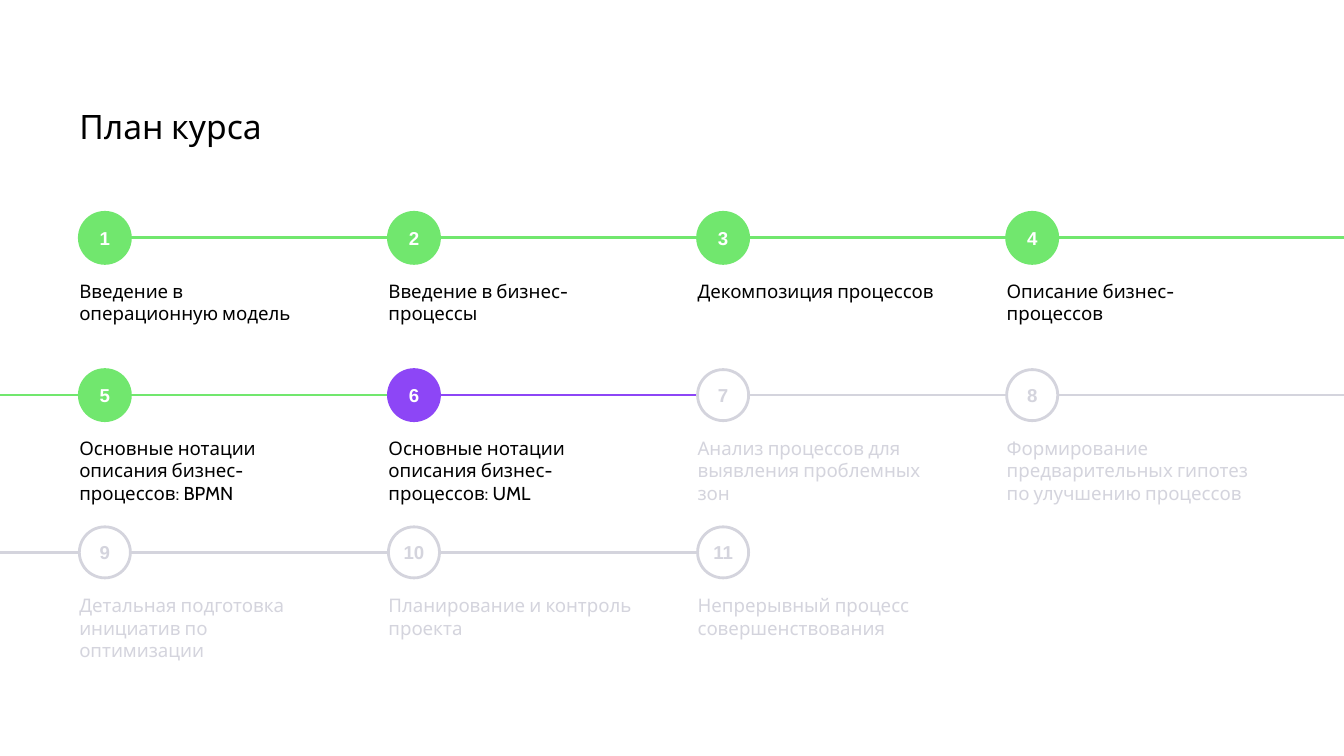
"""Build the course plan slide."""
from pptx import Presentation
from pptx import util as u
from pptx.dml.color import RGBColor
from pptx.enum import shapes, text
from pptx.oxml import ns
from lxml import etree

HUES = {"done": "71E76E", "now": "8D46F6", "next": "D4D4DD",
        "ink": "000000", "white": "FFFFFF"}
TITLE = "План курса"
STEPS = [
    ("Введение в операционную модель", "done"),
    ("Введение в бизнес-процессы", "done"),
    ("Декомпозиция процессов", "done"),
    ("Описание бизнес-процессов", "done"),
    ("Основные нотации описания бизнес-процессов: BPMN", "done"),
    ("Основные нотации описания бизнес-процессов: UML", "now"),
    ("Анализ процессов для выявления проблемных зон", "next"),
    ("Формирование предварительных гипотез по улучшению процессов", "next"),
    ("Детальная подготовка инициатив по оптимизации", "next"),
    ("Планирование и контроль проекта", "next"),
    ("Непрерывный процесс совершенствования", "next"),
]
COLS, WIDE = 4, 10
HIGH = WIDE * 9 / 16
LEFT, TOP, STEP, ROW, SIZE, DROP = 0.59, 1.58, 2.3, 1.17, 0.38, 0.4


def hue(name):
    return RGBColor.from_string(HUES[name])


def inch(*nums):
    return [u.Inches(n) for n in nums]


def write(frame, words, font, size, ink, align, pad=0, bold=False):
    frame.word_wrap = True
    frame.auto_size = text.MSO_AUTO_SIZE.NONE
    frame.margin_left = 0
    frame.margin_top = frame.margin_right = frame.margin_bottom = u.Inches(pad)
    para = frame.paragraphs[0]
    para.text = words
    para.alignment = align
    para.font.name, para.font.size, para.font.bold = font, u.Pt(size), bold
    para.font.color.rgb = hue(ink)


def link(slide, start, end, y, state):
    line = slide.shapes.add_connector(
        shapes.MSO_CONNECTOR.STRAIGHT, *inch(start, y, end, y))
    line.line.color.rgb = hue(state)
    line.line.width = u.Pt(1.5)
    etree.SubElement(line._element.spPr, ns.qn("a:effectLst"))


def badge(slide, x, y, num, state):
    dot = slide.shapes.add_shape(
        shapes.MSO_SHAPE.OVAL, *inch(x, y, SIZE, SIZE))
    dot.shadow.inherit = False
    ahead = state == "next"
    dot.fill.solid()
    dot.fill.fore_color.rgb = hue("white" if ahead else state)
    dot.line.color.rgb = hue(state)
    dot.line.width = u.Pt(1.5)
    write(dot.text_frame, str(num), "Arial", 10, "next" if ahead else "white",
          text.PP_ALIGN.CENTER, bold=True)
    dot.text_frame.vertical_anchor = text.MSO_ANCHOR.MIDDLE


def label(slide, x, y, words, state):
    box = slide.shapes.add_textbox(*inch(x, y, 1.91, 0.37))
    write(box.text_frame, words, "Cabin", 10,
          "next" if state == "next" else "ink", text.PP_ALIGN.LEFT, 0.1)


def main():
    deck = Presentation()
    deck.slide_width, deck.slide_height = inch(WIDE, HIGH)
    slide = deck.slides.add_slide(deck.slide_layouts[5])
    head = slide.shapes.title
    head.left, head.top, head.width, head.height = inch(LEFT, 0.79, 8.82, 0.35)
    write(head.text_frame, TITLE, "Cabin", 18, "ink", text.PP_ALIGN.LEFT)
    head.text_frame.vertical_anchor = text.MSO_ANCHOR.TOP

    for i, (words, state) in enumerate(STEPS):
        row, col = divmod(i, COLS)
        x, y = LEFT + col * STEP, TOP + row * ROW
        mid = y + SIZE / 2
        if row and not col:
            link(slide, 0, x, mid, state)
        if i < len(STEPS) - 1:
            end = WIDE if col == COLS - 1 else x + STEP
            link(slide, x + SIZE, end, mid, state)
        badge(slide, x, y, i + 1, state)
        label(slide, x, y + DROP, words, state)
    deck.save("out.pptx")


if __name__ == "__main__":
    main()
